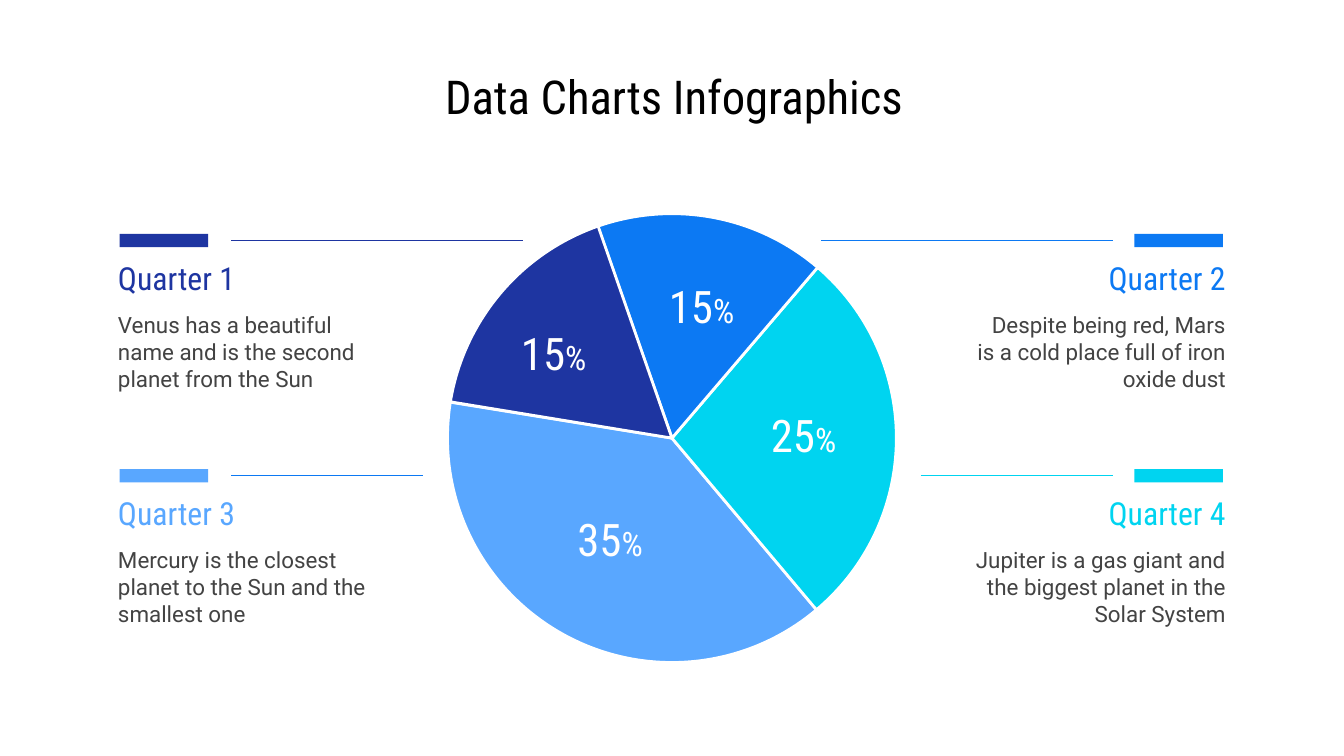
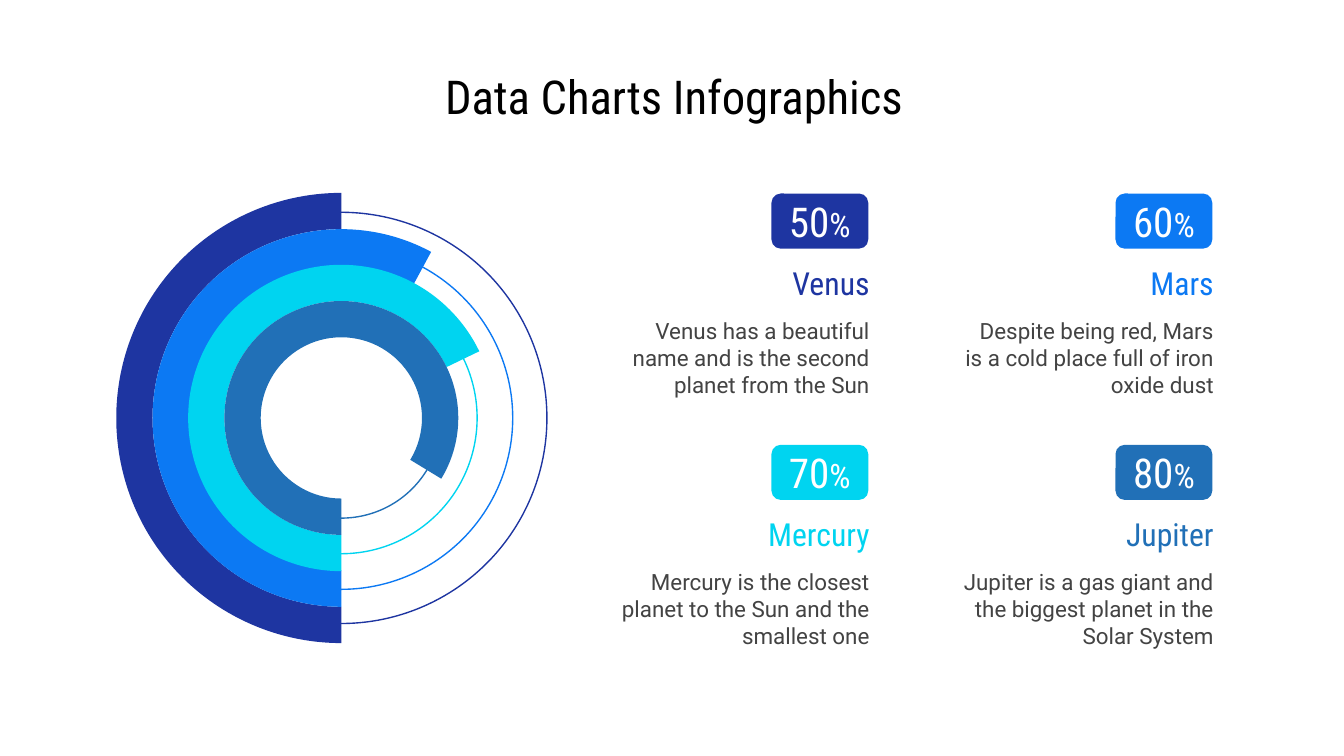
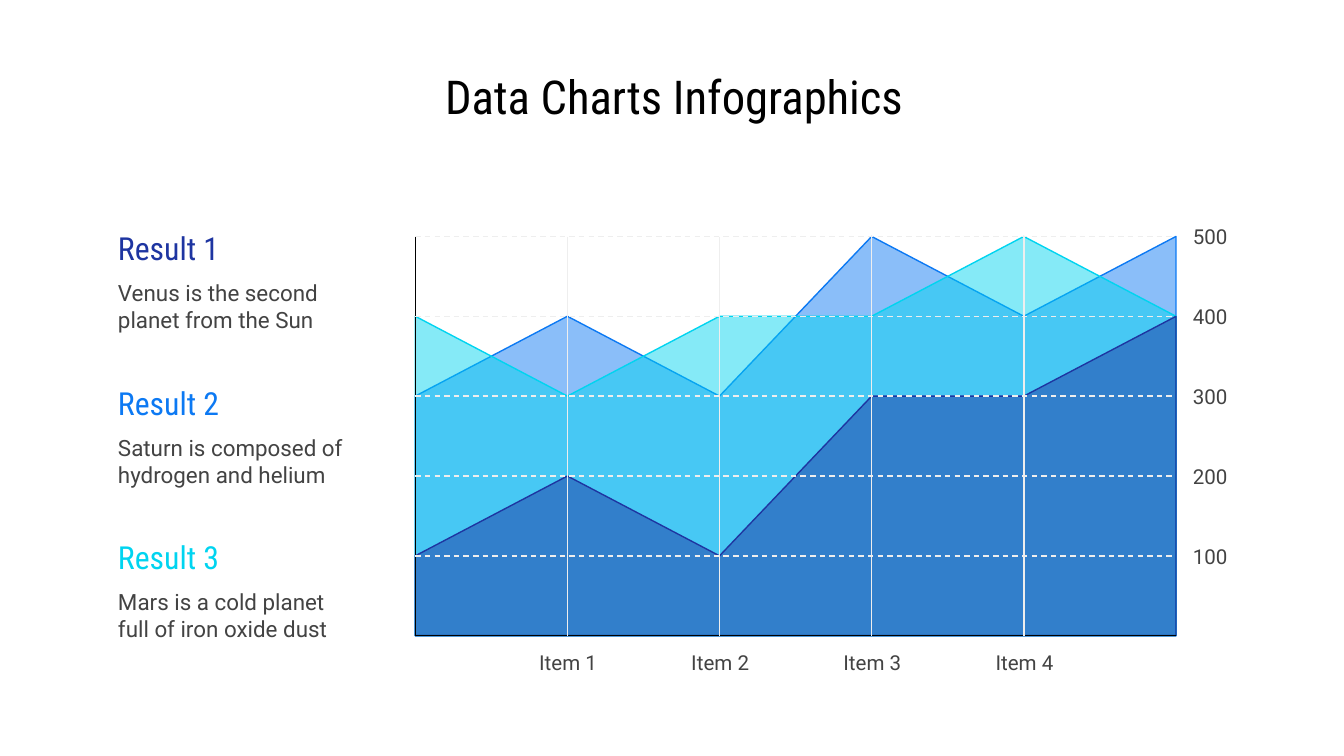
from lxml import etree
from pptx import Presentation
from pptx import util as u
from pptx.dml.color import RGBColor
from pptx.enum import dml, shapes, text
from pptx.oxml.ns import qn

NAVY = RGBColor(0x1E, 0x35, 0xA1)
BLUE = RGBColor(0x0C, 0x79, 0xF3)
SKY = RGBColor(0x59, 0xA7, 0xFF)
CYAN = RGBColor(0x00, 0xD4, 0xF0)
STEEL = RGBColor(0x21, 0x70, 0xB7)
BLACK = RGBColor(0, 0, 0)
WHITE = RGBColor(0xFF, 0xFF, 0xFF)
GRAY = RGBColor(0x43, 0x43, 0x43)
GRID = RGBColor(0xEE, 0xEE, 0xEE)

HEAD_FONT = "Roboto Condensed"
BODY_FONT = "Roboto"
LEFT, CENTER, RIGHT = (text.PP_ALIGN.LEFT, text.PP_ALIGN.CENTER, text.PP_ALIGN.RIGHT)
KIND = shapes.MSO_SHAPE
ANGLE_UNIT = 0.6

VENUS = "Venus has a beautiful name and is the second planet from the Sun"
MARS = "Despite being red, Mars is a cold place full of iron oxide dust"
MERCURY = "Mercury is the closest planet to the Sun and the smallest one"
JUPITER = "Jupiter is a gas giant and the biggest planet in the Solar System"


class Deck:
    """Hold the shared style and the current slide, and draw elements on it."""

    def __init__(self):
        self.prs = Presentation()
        self.prs.slide_width = u.Inches(10)
        self.prs.slide_height = u.Inches(5.625)
        self.slide = None

    def new_slide(self, title):
        self.slide = self.prs.slides.add_slide(self.prs.slide_layouts[5])
        heading = self.slide.shapes.title
        heading.left, heading.top, heading.width, heading.height = map(
            u.Inches, (0.53, 0.45, 8.97, 0.53))
        self.fill_text(heading, [(title, 25)], HEAD_FONT, BLACK, CENTER)

    def fill_text(self, shape, runs, font, color, align, side_inset=0.1):
        frame = shape.text_frame
        frame.word_wrap = True
        frame.auto_size = text.MSO_AUTO_SIZE.NONE
        frame.vertical_anchor = text.MSO_ANCHOR.MIDDLE
        frame.margin_left = frame.margin_right = u.Inches(side_inset)
        frame.margin_top = frame.margin_bottom = u.Inches(0.1)
        paragraph = frame.paragraphs[0]
        paragraph.alignment = align
        for words, size in runs:
            run = paragraph.add_run()
            run.text = words
            run.font.name = font
            run.font.size = u.Pt(size)
            run.font.color.rgb = color

    def label(self, box, runs, font, color, align, side_inset=0.1):
        holder = self.slide.shapes.add_textbox(*map(u.Inches, box))
        self.fill_text(holder, runs, font, color, align, side_inset)

    def caption(self, heading, detail, color, left, top, width, gap, height, align):
        self.label((left, top, width, 0.29), [(heading, 17)], HEAD_FONT, color, align)
        self.label((left, top + gap, width, height), [(detail, 12)], BODY_FONT, GRAY, align)

    def paint(self, shape, fill=None, line=None, weight=0.75):
        shape.shadow.inherit = False
        if fill is None:
            shape.fill.background()
        else:
            shape.fill.solid()
            shape.fill.fore_color.rgb = fill
        if line is None:
            shape.line.fill.background()
        else:
            shape.line.color.rgb = line
            shape.line.width = u.Pt(weight)

    def shape(self, kind, box, fill=None, line=None, weight=0.75, adjust=()):
        drawn = self.slide.shapes.add_shape(kind, *map(u.Inches, box))
        for index, value in enumerate(adjust):
            drawn.adjustments[index] = value
        self.paint(drawn, fill, line, weight)
        return drawn

    def line(self, start, end, color, dashed=False):
        rule = self.slide.shapes.add_connector(
            shapes.MSO_CONNECTOR.STRAIGHT, *map(u.Inches, (*start, *end)))
        rule.line.color.rgb = color
        rule.line.width = u.Pt(0.75)
        if dashed:
            rule.line.dash_style = dml.MSO_LINE.DASH
        etree.SubElement(rule.element.spPr, qn("a:effectLst"))

    def area(self, points, color, opacity):
        corners = [(u.Inches(x), u.Inches(y)) for x, y in points]
        builder = self.slide.shapes.build_freeform(*corners[0])
        builder.add_line_segments(corners[1:], close=True)
        region = builder.convert_to_shape()
        self.paint(region, color, color)
        tint = region.element.spPr.find(qn("a:solidFill")).find(qn("a:srgbClr"))
        etree.SubElement(tint, qn("a:alpha"), val=str(opacity * 1000))


def quarters_slide(deck):
    deck.new_slide("Data Charts Infographics")
    slices = [
        ("35", SKY, 49.9, 189.2, 4.04, 3.79),
        ("25", CYAN, 310.5, 49.9, 5.48, 3.02),
        ("15", BLUE, 250.7, 310.5, 4.72, 2.06),
        ("15", NAVY, 189.3, 250.8, 3.62, 2.41),
    ]
    for _, color, start, end, _, _ in slices:
        deck.shape(KIND.PIE, (3.33, 1.59, 3.34, 3.34), color, WHITE, 1.5,
                   (start * ANGLE_UNIT, end * ANGLE_UNIT))
    for share, _, _, _, left, top in slices:
        deck.label((left, top, 1, 0.43), [(share, 24), ("%", 18)], HEAD_FONT, WHITE, CENTER)

    top_row, bottom_row = 1.74, 3.49
    quarters = [
        ("Quarter 1", VENUS, NAVY, NAVY, LEFT, top_row, 3.89),
        ("Quarter 3", MERCURY, SKY, BLUE, LEFT, bottom_row, 3.15),
        ("Quarter 2", MARS, BLUE, BLUE, RIGHT, top_row, 6.11),
        ("Quarter 4", JUPITER, CYAN, CYAN, RIGHT, bottom_row, 6.85),
    ]
    for name, detail, color, leader, align, top, pie_end in quarters:
        text_left, tag_left, tag_end = (
            (0.78, 0.89, 1.72) if align == LEFT else (7.16, 8.44, 8.28))
        deck.caption(name, detail, color, text_left, top + 0.18, 2.06, 0.28, 0.83, align)
        deck.shape(KIND.RECTANGLE, (tag_left, top, 0.66, 0.1), color)
        ends = sorted((tag_end, pie_end))
        deck.line((ends[0], top + 0.05), (ends[1], top + 0.05), leader)


def planets_slide(deck):
    deck.new_slide("Data Charts Infographics")
    center_x, center_y, band = 2.54, 3.11, 0.27

    def centered(size):
        return center_x - size / 2, center_y - size / 2, size, size

    rings = [
        (NAVY, 3.35, 3.06, 270),
        (BLUE, 2.81, 2.55, 298.4),
        (CYAN, 2.28, 2.02, 334.2),
        (STEEL, 1.74, 1.49, 31.3),
    ]
    for color, outer, track, end in rings:
        deck.shape(KIND.OVAL, centered(track), line=color)
        deck.shape(KIND.BLOCK_ARC, centered(outer), color,
                   adjust=(90 * ANGLE_UNIT, end * ANGLE_UNIT, band / outer))

    planets = [
        ("Venus", VENUS, "50", NAVY),
        ("Mars", MARS, "60", BLUE),
        ("Mercury", MERCURY, "70", CYAN),
        ("Jupiter", JUPITER, "80", STEEL),
    ]
    for index, (name, detail, share, color) in enumerate(planets):
        row, column = divmod(index, 2)
        left, top = 4.51 + 2.56 * column, 1.44 + 1.87 * row
        badge = deck.shape(KIND.ROUNDED_RECTANGLE, (left + 1.23, top, 0.72, 0.41), color)
        deck.fill_text(badge, [(share, 22), ("%", 18)], HEAD_FONT, WHITE, CENTER)
        deck.caption(name, detail, color, left, top + 0.52, 2.06, 0.32, 0.76, RIGHT)


def results_slide(deck):
    deck.new_slide("Data Charts Infographics")
    plot_left, plot_right, plot_top, base = 3.09, 8.75, 1.76, 4.73
    step_x = (plot_right - plot_left) / 5
    step_y = (base - plot_top) / 5
    series = [
        (BLUE, 48, (300, 400, 300, 500, 400, 500)),
        (CYAN, 48, (400, 300, 400, 400, 500, 400)),
        (NAVY, 49, (100, 200, 100, 300, 300, 400)),
    ]
    for color, opacity, values in series:
        outline = [(plot_left + step_x * i, base - step_y * value / 100)
                   for i, value in enumerate(values)]
        deck.area(outline + [(plot_right, base), (plot_left, base)], color, opacity)

    deck.line((plot_left, base), (plot_right, base), BLACK)
    deck.line((plot_left, plot_top), (plot_left, base), BLACK)
    for level in range(1, 6):
        y = base - step_y * level
        deck.line((plot_left, y), (plot_right, y), GRID, dashed=True)
        deck.label((8.79, y - 0.11, 0.43, 0.22), [(str(level * 100), 11)],
                   BODY_FONT, GRAY, CENTER, side_inset=0)
    for item in range(1, 5):
        x = plot_left + step_x * item
        deck.line((x, plot_top), (x, base), GRID)
        deck.label((x - 0.38, 4.82, 0.77, 0.22), [(f"Item {item}", 11)],
                   BODY_FONT, GRAY, CENTER)

    results = [
        ("Result 1", "Venus is the second planet from the Sun", NAVY),
        ("Result 2", "Saturn is composed of hydrogen and helium", BLUE),
        ("Result 3", "Mars is a cold planet full of iron oxide dust", CYAN),
    ]
    for row, (name, detail, color) in enumerate(results):
        deck.caption(name, detail, color, 0.78, 1.7 + 1.15 * row, 1.94, 0.28, 0.6, LEFT)


def main():
    deck = Deck()
    quarters_slide(deck)
    planets_slide(deck)
    results_slide(deck)
    deck.prs.save("out.pptx")


if __name__ == "__main__":
    main()
